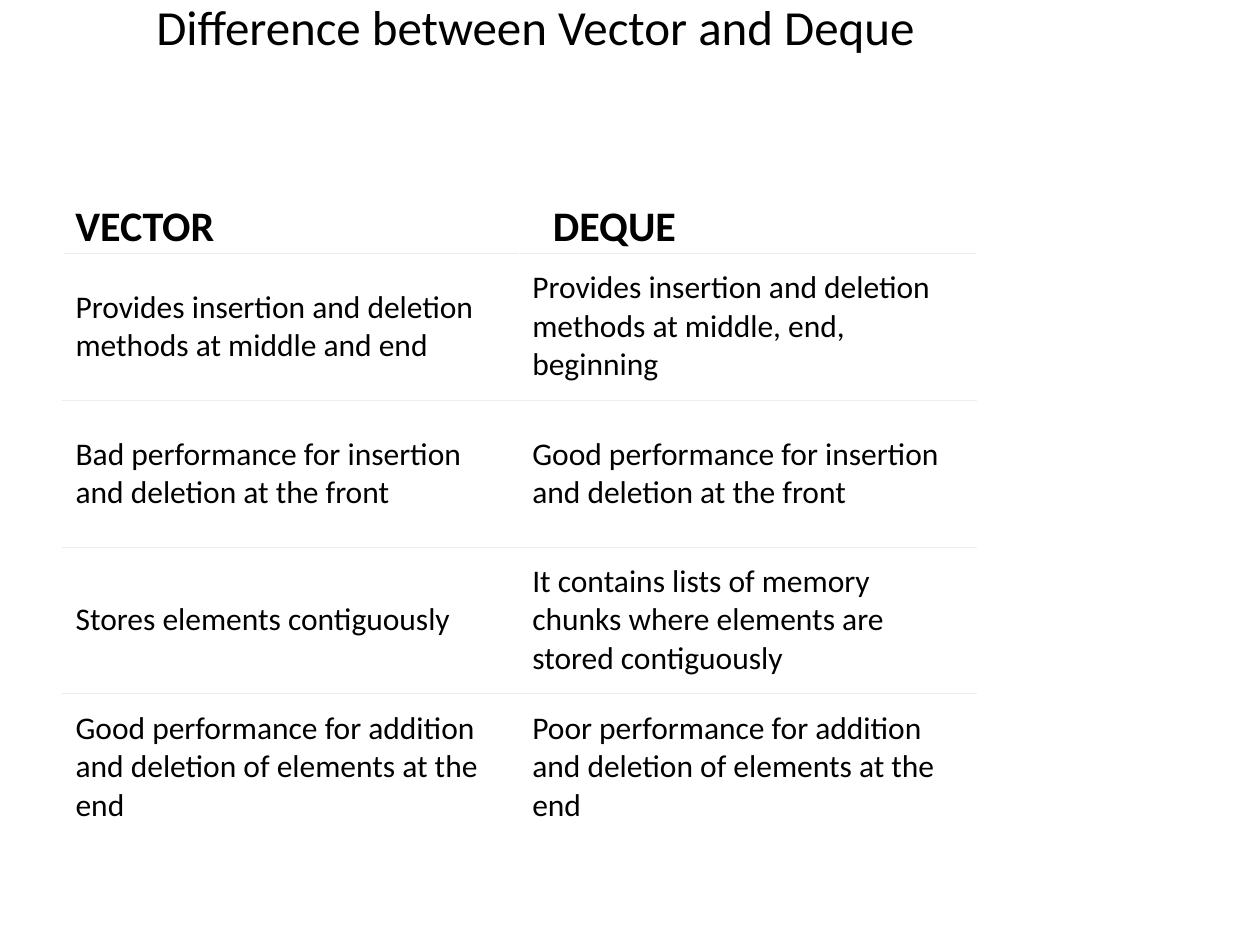
import pptx
import pptx.util
import pptx.dml.color
import pptx.enum.text
from dataclasses import dataclass
from lxml import etree

Inches = pptx.util.Inches
Align = pptx.enum.text.PP_ALIGN
Anchor = pptx.enum.text.MSO_ANCHOR
DRAWING = "{http://schemas.openxmlformats.org/drawingml/2006/main}"


@dataclass(frozen=True)
class Theme:
    font: str = "Calibri"
    text: str = "000000"
    cell: str = "FFFFFF"
    rule: str = "EDEDED"
    rule_width: float = 0.34
    title_size: int = 28
    heading_size: int = 24
    cell_size: int = 18


def color(value):
    return pptx.dml.color.RGBColor.from_string(value)


def write_text(frame, text, *, font, size, ink, bold=False, align=Align.LEFT):
    paragraph = frame.paragraphs[0]
    paragraph.alignment = align
    run = paragraph.add_run()
    run.text = text
    run.font.name = font
    run.font.size = pptx.util.Pt(size)
    run.font.bold = bold
    run.font.color.rgb = color(ink)


class SlideBuilder:
    def __init__(self, slide, theme):
        self.slide = slide
        self.theme = theme

    def text_box(self, text, left, top, width, height, anchor, **text_format):
        shape = self.slide.shapes.add_textbox(
            Inches(left), Inches(top), Inches(width), Inches(height))
        frame = shape.text_frame
        frame.word_wrap = True
        frame.vertical_anchor = anchor
        write_text(frame, text, font=self.theme.font, ink=self.theme.text, **text_format)

    def border(self, cell, sides):
        properties = cell._tc.get_or_add_tcPr()
        for index, side in enumerate(sides):
            line = etree.Element(DRAWING + "ln" + side,
                                 w=str(pptx.util.Pt(self.theme.rule_width)))
            fill = etree.SubElement(line, DRAWING + "solidFill")
            etree.SubElement(fill, DRAWING + "srgbClr", val=self.theme.rule)
            properties.insert(index, line)

    def table(self, rows, left, top, width, height):
        table = self.slide.shapes.add_table(
            len(rows), len(rows[0]), Inches(left), Inches(top),
            Inches(width), Inches(height)).table
        table.first_row = False
        table.horz_banding = False
        for row_index, texts in enumerate(rows):
            # The last row stays open at the bottom
            sides = "T" if row_index == len(rows) - 1 else "TB"
            for column_index, text in enumerate(texts):
                cell = table.cell(row_index, column_index)
                cell.vertical_anchor = Anchor.MIDDLE
                cell.fill.solid()
                cell.fill.fore_color.rgb = color(self.theme.cell)
                self.border(cell, sides)
                write_text(cell.text_frame, text, font=self.theme.font,
                           size=self.theme.cell_size, ink=self.theme.text)


def main():
    theme = Theme()
    presentation = pptx.Presentation()
    presentation.slide_width = Inches(10)
    presentation.slide_height = Inches(7.5)
    slide = presentation.slides.add_slide(presentation.slide_layouts[6])
    builder = SlideBuilder(slide, theme)

    # Title
    builder.text_box("Difference between Vector and Deque", -0.25, -0.42, 9, 1.25,
                     Anchor.MIDDLE, size=theme.title_size, align=Align.CENTER)

    # Column headings
    for heading, left in (("VECTOR", 0.5), ("DEQUE", 4.29)):
        builder.text_box(heading, left, 1.33, 4.42, 0.7, Anchor.BOTTOM,
                         size=theme.heading_size, bold=True)

    # Comparison table
    builder.table([
        ("Provides insertion and deletion methods at middle and end",
         "Provides insertion and deletion methods at middle, end, beginning"),
        ("Bad performance for insertion and deletion at the front",
         "Good performance for insertion and deletion at the front"),
        ("Stores elements contiguously",
         "It contains lists of memory chunks where elements are stored contiguously"),
        ("Good performance for addition and deletion of elements at the end",
         "Poor performance for addition and deletion of elements at the end"),
    ], 0.5, 2.01, 7.25, 4.66)

    presentation.save("out.pptx")


if __name__ == "__main__":
    main()
